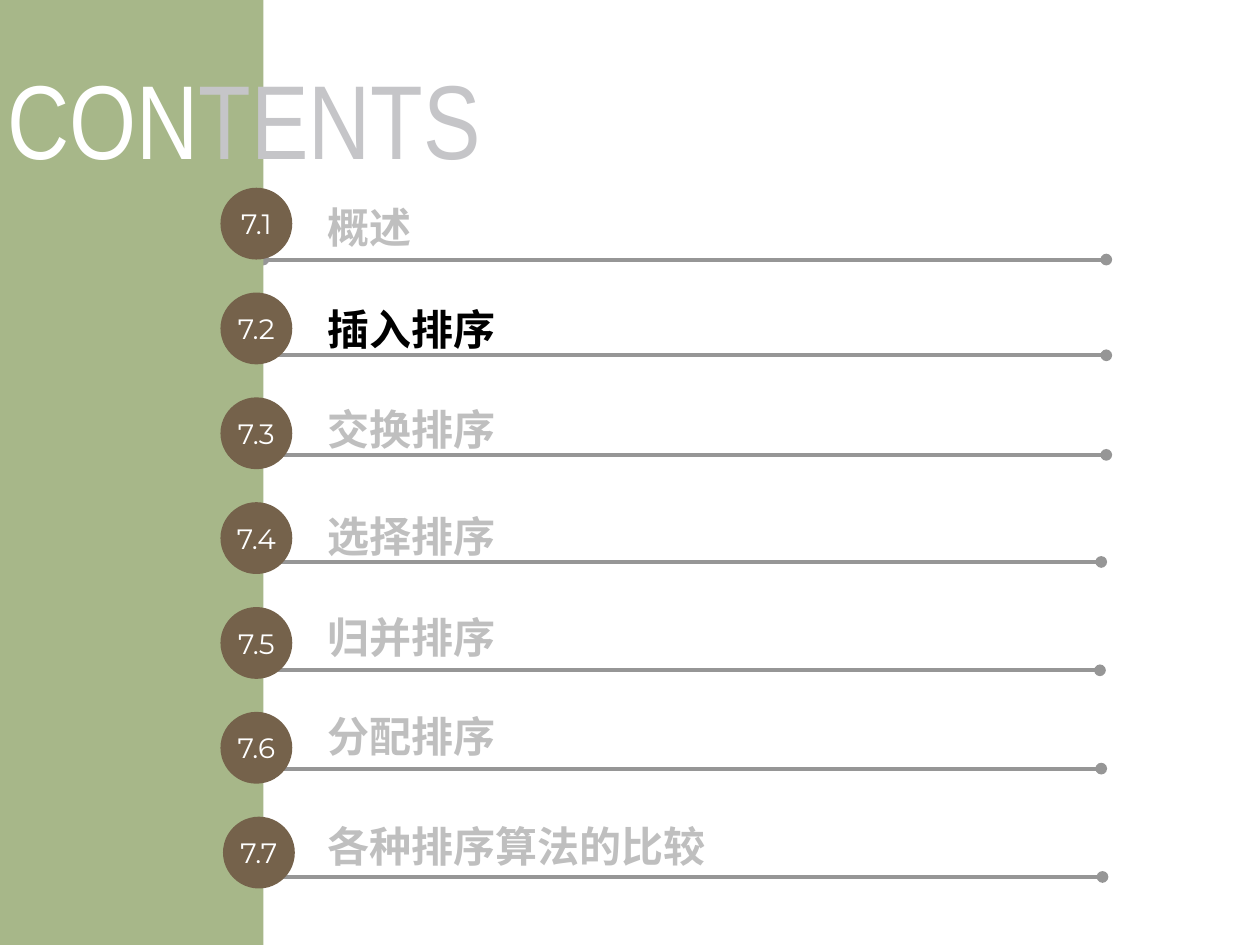
from lxml.etree import SubElement
from pptx import Presentation
from pptx.dml.color import RGBColor
from pptx.enum.shapes import MSO_CONNECTOR, MSO_SHAPE
from pptx.enum.text import MSO_ANCHOR, PP_ALIGN
from pptx.oxml.ns import qn
from pptx.util import Inches, Pt

WIDTH, HEIGHT = 10, 7.5
PANEL_W = 2.09
BADGE, BADGE_X, FIRST_BADGE_Y, PITCH = 0.57, 1.75, 1.49, 0.832
LABEL_X, LABEL_H, RULE_W = 2.5, 0.4, 6.69
GREEN, BROWN, WHITE = "A7B789", "75624B", "FFFFFF"
RULE, MUTED, ACTIVE, TITLE_GREY = "969696", "BFBFBF", "000000", "C5C5C8"
CURRENT = "7.2"

# number, label, label top, label width, rule right end, rule height
SECTIONS = [
    ("7.1", "概述", 1.6, 3.56, 8.78, 2.06),
    ("7.2", "插入排序", 2.41, 2.55, 8.78, 2.82),
    ("7.3", "交换排序", 3.2, 3.24, 8.78, 3.61),
    ("7.4", "选择排序", 4.05, 2.94, 8.74, 4.46),
    ("7.5", "归并排序", 4.85, 4.11, 8.73, 5.32),
    ("7.6", "分配排序", 5.64, 4.31, 8.74, 6.1),
    ("7.7", "各种排序算法的比较", 6.51, 4.11, 8.75, 6.96),
]


def rgb(value):
    return RGBColor.from_string(value)


def style(p, name, size, color=None, bold=False):
    font = p.font
    font.name, font.size, font.bold = name, Pt(size), bold
    if color:
        font.color.rgb = rgb(color)
    SubElement(font._element, qn("a:ea"), typeface=name)


def add_text(s, x, y, w, h):
    """Add a wrapped, vertically centred text box and return its paragraph."""
    tf = s.shapes.add_textbox(*map(Inches, (x, y, w, h))).text_frame
    tf.word_wrap = True
    tf.vertical_anchor = MSO_ANCHOR.MIDDLE
    return tf.paragraphs[0]


def add_filled(s, kind, x, y, w, h, color):
    sp = s.shapes.add_shape(kind, *map(Inches, (x, y, w, h)))
    sp.shadow.inherit = False
    sp.fill.solid()
    sp.fill.fore_color.rgb = rgb(color)
    sp.line.fill.background()
    return sp


def add_rule(s, right, y):
    """Add a horizontal line with a dot at each end."""
    rule = s.shapes.add_connector(
        MSO_CONNECTOR.STRAIGHT, *map(Inches, (right - RULE_W, y, right, y)))
    rule.line.color.rgb = rgb(RULE)
    rule.line.width = Pt(2.25)
    ln = rule.line._get_or_add_ln()
    for end in ("a:headEnd", "a:tailEnd"):
        SubElement(ln, qn(end), type="oval")
    SubElement(rule._element.spPr, qn("a:effectLst"))


def add_entry(s, number, label, top, width, right, rule_y):
    add_rule(s, right, rule_y)
    p = add_text(s, LABEL_X, top, width, LABEL_H)
    p.text = label
    style(p, "Noto Sans CJK SC", 24, ACTIVE if number == CURRENT else MUTED, True)


def add_title(s, x, y, w, h):
    p = add_text(s, x, y, w, h)
    style(p, "Arial Narrow", 60)
    for text, color in (("CON", WHITE), ("TENTS", TITLE_GREY)):
        r = p.add_run()
        r.text = text
        r.font.color.rgb = rgb(color)


def add_badge(s, number, x, y):
    sp = add_filled(s, MSO_SHAPE.OVAL, x, y, BADGE, BADGE, BROWN)
    tf = sp.text_frame
    tf.margin_left = tf.margin_right = tf.margin_top = tf.margin_bottom = 0
    tf.vertical_anchor = MSO_ANCHOR.MIDDLE
    p = tf.paragraphs[0]
    p.text = number
    p.alignment = PP_ALIGN.CENTER
    style(p, "Montserrat", 16, WHITE)


def main():
    prs = Presentation()
    prs.slide_width, prs.slide_height = Inches(WIDTH), Inches(HEIGHT)
    s = prs.slides.add_slide(prs.slide_layouts[6])
    for section in SECTIONS:
        add_entry(s, *section)
    add_filled(s, MSO_SHAPE.RECTANGLE, 0, 0, PANEL_W, HEIGHT, GREEN)
    add_title(s, -0.04, 0.35, 4.88, 1.16)
    for row, (number, *_) in enumerate(SECTIONS):
        nudge = 0.02 if row == len(SECTIONS) - 1 else 0
        add_badge(s, number, BADGE_X + nudge, FIRST_BADGE_Y + row * PITCH)
    prs.save("out.pptx")


if __name__ == "__main__":
    main()
